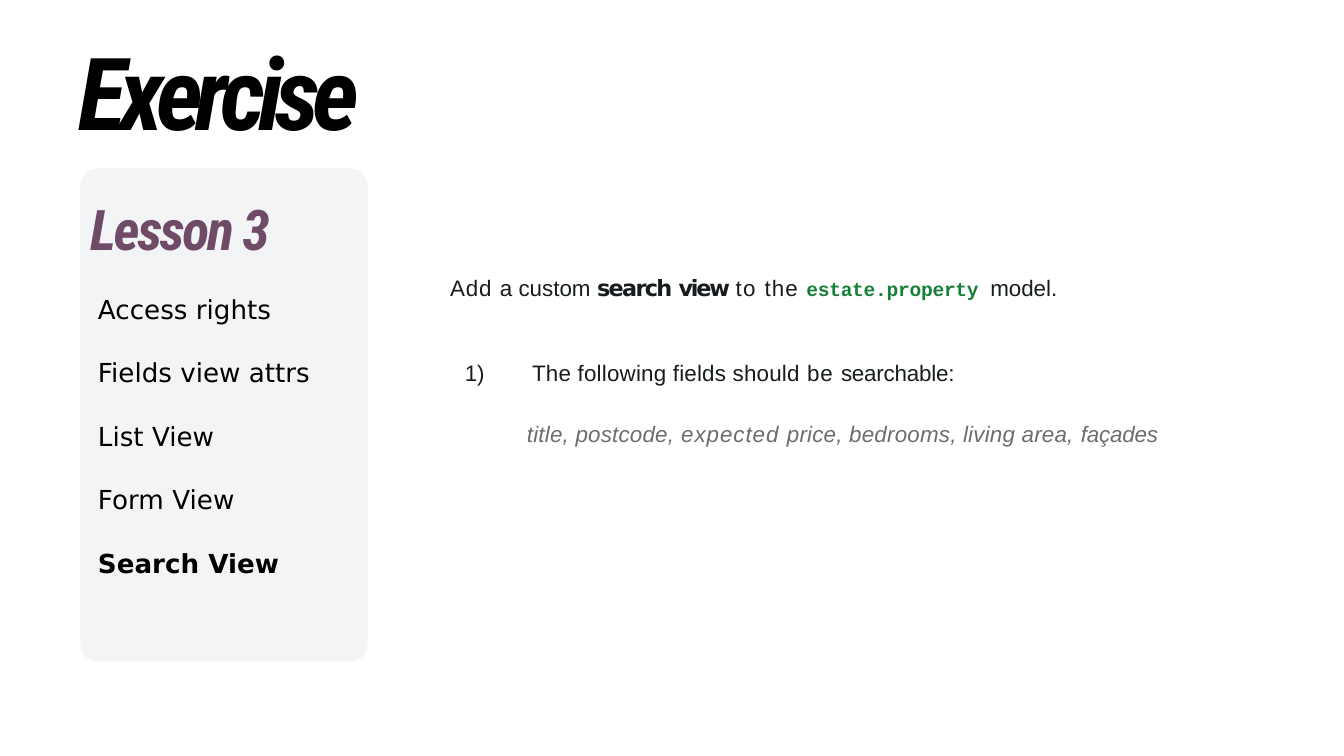
from lxml.etree import SubElement
from pptx import Presentation
from pptx.dml.color import RGBColor
from pptx.enum.shapes import MSO_SHAPE
from pptx.enum.text import MSO_ANCHOR, MSO_AUTO_SIZE, PP_ALIGN
from pptx.oxml.ns import qn
from pptx.util import Pt

SCALE = 914400 / 134.4
COLORS = {"black": "000000", "panel": "F2F4F6", "plum": "704B67",
          "ink": "171C1F", "code": "178038", "grey": "6B6D70"}
STYLES = {
    "title": dict(name="Roboto Condensed", size=Pt(54), bold=True, italic=True, color="black"),
    "lesson": dict(name="Roboto Condensed", size=Pt(30), bold=True, italic=True, color="plum"),
    "topic": dict(name="DejaVu Sans", size=Pt(14), bold=False, color="black"),
    "current": dict(name="DejaVu Sans", size=Pt(14), bold=True, color="black"),
    "body": dict(name="Arial", size=Pt(12), color="ink"),
    "strong": dict(name="DejaVu Sans", size=Pt(12), bold=True, color="ink"),
    "code": dict(name="Courier New", size=Pt(10.5), bold=True, color="code"),
    "fields": dict(name="Arial", size=Pt(12), italic=True, color="grey"),
}
TOPICS = ["Access rights", "Fields view attrs", "List View", "Form View", "Search View"]


def px(value):
    """Turn px into EMU."""
    return round(value * SCALE)


def place(shape, left, top, width, height):
    """Move a text shape to its box and return its cleared frame."""
    for name, value in dict(left=left, top=top, width=width, height=height).items():
        setattr(shape, name, px(value))
    frame = shape.text_frame
    settings = dict(word_wrap=True, auto_size=MSO_AUTO_SIZE.NONE, vertical_anchor=MSO_ANCHOR.TOP,
                    margin_left=0, margin_right=0, margin_bottom=0, margin_top=px(3))
    for name, value in settings.items():
        setattr(frame, name, value)
    return frame


def write(para, spans, indent=1, before=0, tab=None):
    """Fill a paragraph with (text, style, letter spacing) spans."""
    properties = para._p.get_or_add_pPr()
    properties.set("marL", str(px(indent)))
    properties.set("indent", "0")
    SubElement(properties, qn("a:buNone"))
    if tab:
        stops = SubElement(properties, qn("a:tabLst"))
        SubElement(stops, qn("a:tab"), pos=str(px(tab)), algn="l")
    para.alignment = PP_ALIGN.LEFT
    para.space_before = Pt(before)
    for text, style, spacing in spans:
        span = para.add_run()
        span.text = text
        for name, value in STYLES[style].items():
            if name == "color":
                span.font.color.rgb = RGBColor.from_string(COLORS[value])
            else:
                setattr(span.font, name, value)
        span._r.get_or_add_rPr().set("spc", str(round(spacing * 100)))


def add_title(page, left, top, width, height):
    """Write the slide title."""
    frame = place(page.shapes.title, left, top, width, height)
    write(frame.paragraphs[0], [("Exercise", "title", -3.8)], indent=67)


def add_lesson(page, left, top, width, height):
    """Draw the lesson panel and its list of topics."""
    panel = page.shapes.add_shape(MSO_SHAPE.ROUNDED_RECTANGLE,
                                  px(left), px(top), px(width), px(height))
    panel.adjustments[0] = 0.06
    panel.shadow.inherit = False
    panel.fill.solid()
    for paint in (panel.fill.fore_color, panel.line.color):
        paint.rgb = RGBColor.from_string(COLORS["panel"])
    panel.line.width = Pt(0.75)
    page.shapes._spTree.insert(2, panel._element)

    frame = place(page.placeholders[1], left + 8, top + 22, width - 19, height - 102)
    write(frame.paragraphs[0], [("Lesson 3", "lesson", -1.2)])
    for topic in TOPICS:
        style = "current" if topic == TOPICS[-1] else "topic"
        write(frame.add_paragraph(), [(topic, style, 0)], indent=9, before=17.2)


def add_task(page, left, top, width, height):
    """Write the task, its numbered step and the searchable fields."""
    task = [("Add ", "body", 0.5), ("a custom ", "body", 0), ("search ", "strong", -0.9),
            ("view ", "strong", -1.2), ("to ", "body", 0.7), ("the ", "body", 0.6),
            ("estate.property ", "code", -0.1), ("model.", "body", 0)]
    step = [("1)\t", "body", -0.2), ("The following fields should ", "body", 0.1),
            ("be ", "body", 0.5), ("searchable:", "body", -0.1)]
    fields = [("title, postcode, ", "fields", 0.1), ("expected ", "fields", 0.5),
              ("price, bedrooms, living area, ", "fields", 0.1), ("façades", "fields", -0.1)]
    rows = [(0, 0, task, None), (15, 85, step, 54), (77, 146, fields, None)]
    for across, down, spans, tab in rows:
        box = page.shapes.add_textbox(0, 0, 0, 0)
        frame = place(box, left + across, top + down, width - across, height)
        write(frame.paragraphs[0], spans, tab=tab)


def main():
    """Build and save the slide."""
    deck = Presentation()
    deck.slide_width, deck.slide_height = px(1344), px(756)
    page = deck.slides.add_slide(deck.slide_layouts[1])
    add_title(page, 12, 27, 441, 124)
    add_lesson(page, 81, 169, 286, 492)
    add_task(page, 449, 271, 760, 31)
    deck.save("out.pptx")


if __name__ == "__main__":
    main()
